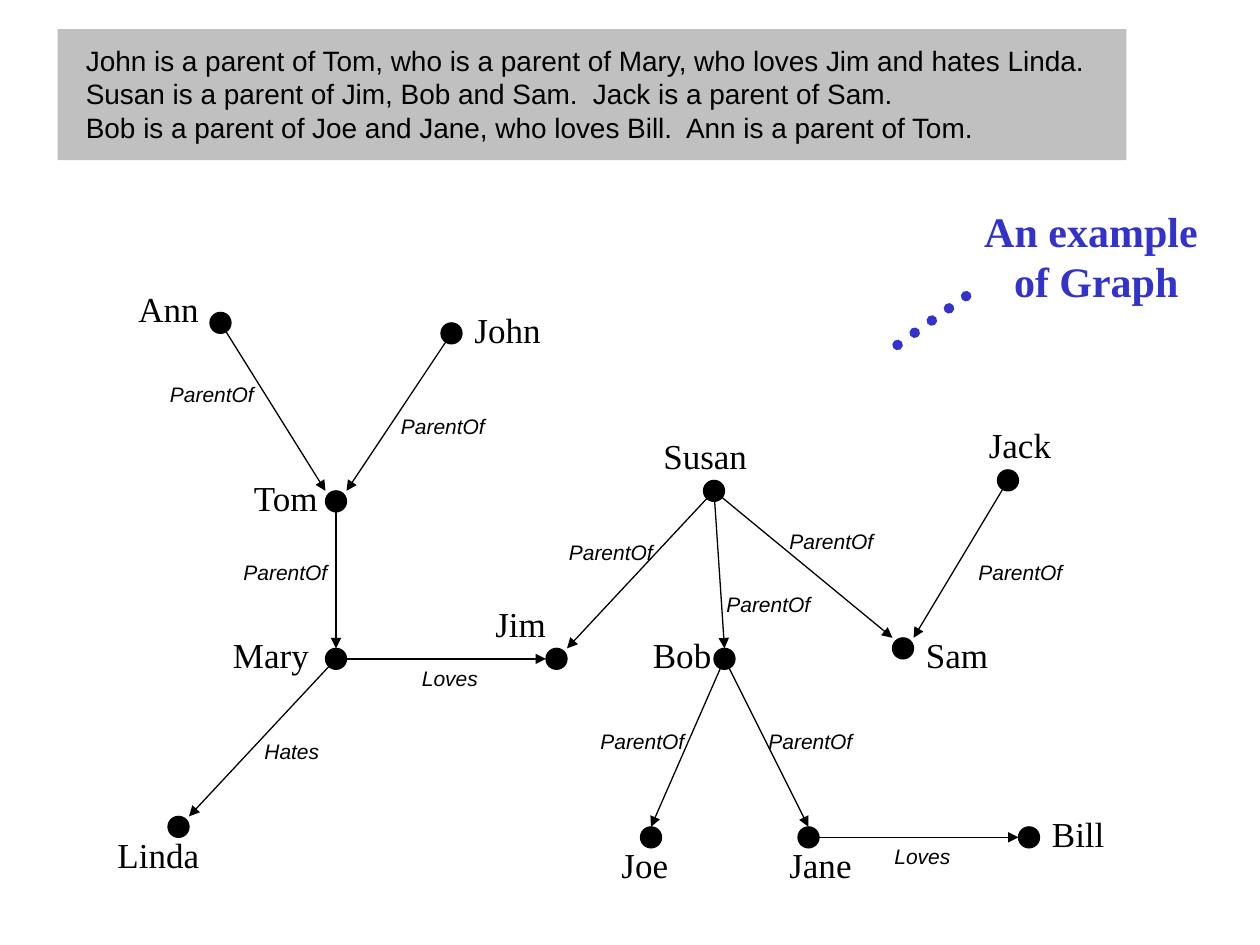
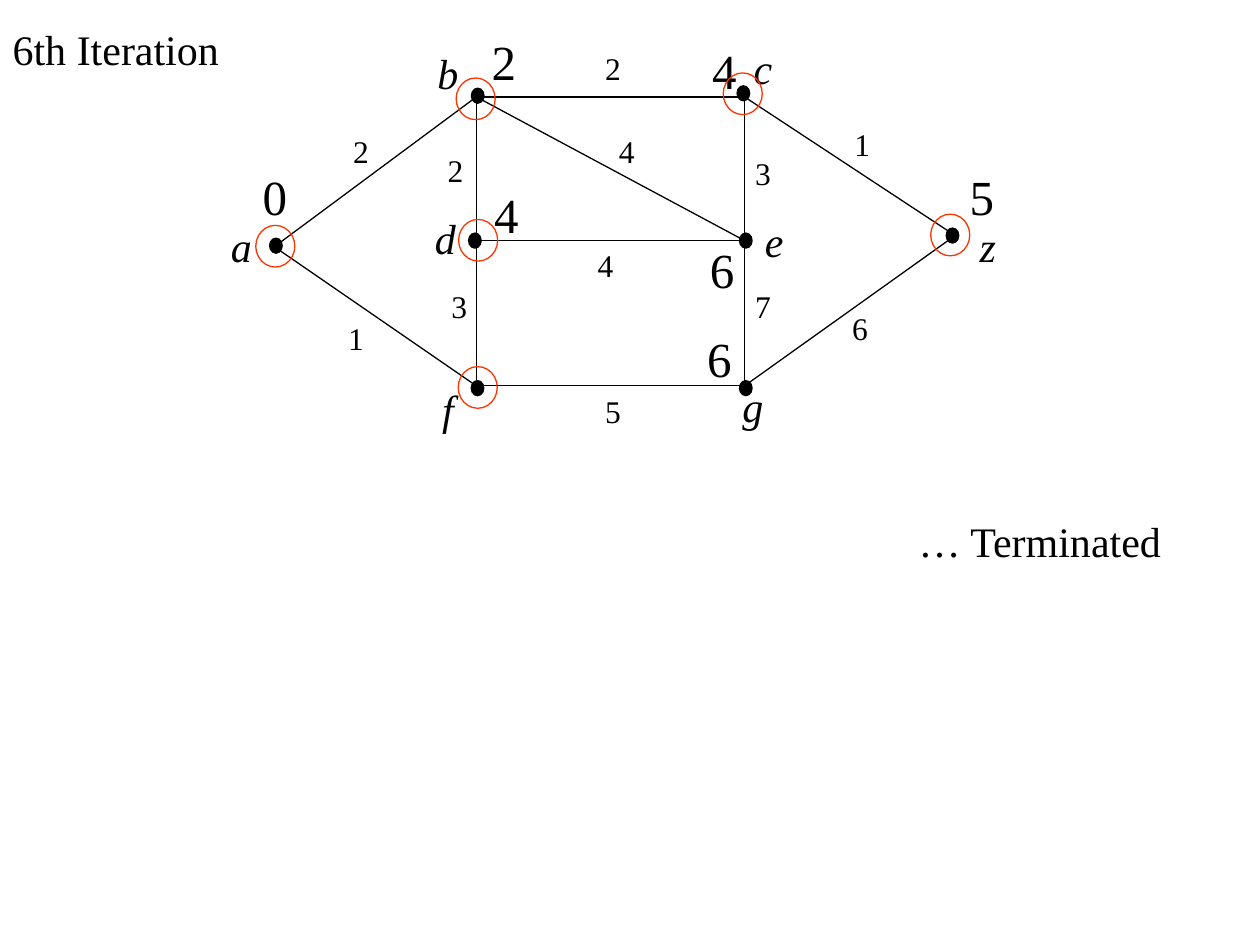
from dataclasses import dataclass
from typing import NamedTuple, Optional

from lxml import etree
from pptx import Presentation
from pptx.dml.color import RGBColor
from pptx.enum import dml, shapes, text
from pptx.oxml import ns
from pptx.util import Pt


@dataclass(frozen=True)
class Theme:
    ink: str = "000000"
    accent: str = "3333CC"
    ring: str = "FF3300"
    panel: str = "C0C0C0"
    serif: str = "Times New Roman"
    sans: str = "Arial"
    relation_size: int = 12
    story_size: int = 16
    weight_size: int = 18
    name_size: int = 20
    title_size: int = 24
    distance_size: int = 28
    line_width: float = 0.75
    dotted_width: float = 6


THEME = Theme()


class Person(NamedTuple):
    """Dot centre, then offset of the name box from it and the box width."""
    centre: tuple
    name_offset: tuple
    name_width: float


class Vertex(NamedTuple):
    """Dot, the joint where edges meet, letter, and optional marks, all centres."""
    dot: tuple
    joint: tuple
    letter: tuple
    ring: Optional[tuple] = None
    distance: str = ""
    distance_at: Optional[tuple] = None


PEOPLE = {
    "Ann": Person((66, 24), (-54, -24), 51),
    "John": Person((198, 30), (6, -18), 54),
    "Tom": Person((132, 126), (-54, -18), 54),
    "Mary": Person((132, 216), (-66, -18), 59),
    "Jim": Person((258, 216), (-42, -36), 45),
    "Susan": Person((348, 120), (-36, -36), 64),
    "Bob": Person((354, 216), (-48, -18), 50),
    "Sam": Person((456, 210), (6, -12), 52),
    "Jack": Person((516, 114), (-18, -36), 52),
    "Linda": Person((42, 312), (-42, 0), 63),
    "Joe": Person((312, 318), (-24, 0), 43),
    "Jane": Person((402, 318), (-18, 0), 52),
    "Bill": Person((528, 318), (6, -18), 46),
}

# Arrow start, arrow end, side of the end dot that is met, word, word position
RELATIONS = [
    ("Ann", "Tom", (-1, -1), "ParentOf", (30, 54)),
    ("John", "Tom", (1, -1), "ParentOf", (162, 72)),
    ("Tom", "Mary", (0, -1), "ParentOf", (72, 156)),
    ("Mary", "Jim", (-1, 0), "Loves", (174, 216)),
    ("Mary", "Linda", (1, -1), "Hates", (84, 258)),
    ("Susan", "Jim", (1, -1), "ParentOf", (258, 144)),
    ("Susan", "Bob", (0, -1), "ParentOf", (348, 174)),
    ("Susan", "Sam", (-1, -1), "ParentOf", (384, 138)),
    ("Jack", "Sam", (1, -1), "ParentOf", (492, 156)),
    ("Bob", "Joe", (0, -1), "ParentOf", (276, 252)),
    ("Bob", "Jane", (0, -1), "ParentOf", (372, 252)),
    ("Jane", "Bill", (-1, 0), "Loves", (444, 318)),
]
RELATION_WIDTHS = {"ParentOf": 65, "Loves": 49, "Hates": 49}

VERTICES = {
    "a": Vertex((37.7, 130.4), (36.8, 131), (17.9, 130.4), (37.3, 130.7), "0", (37, 102)),
    "b": Vertex((153, 44.7), (152.2, 45.4), (136, 31.8), (151.8, 46.5), "2", (168, 25)),
    "c": Vertex((304.8, 43.3), (305.5, 45.4), (316, 28.9), (304.4, 43.6), "4", (294, 30)),
    "d": Vertex((151.4, 127.5), (152.2, 127.5), (134.5, 126), (153.2, 127.3), "4", (169.4, 112)),
    "e": Vertex((306.2, 127.5), (305.5, 127.5), (322.4, 127.5), None, "6", (292.6, 143.7)),
    "f": Vertex((152.9, 211.8), (152.2, 210.5), (136, 223.3), (153, 211.4)),
    "g": Vertex((306.2, 211.8), (305.5, 210.5), (310.2, 221.8), None, "6", (291.1, 194.8)),
    "z": Vertex((424.3, 124.6), (425.8, 124.6), (444.5, 130.4), (423, 124.3), "5", (441, 102)),
}

# Edge, weight, centre of the weight
WEIGHTS = [
    ("ab", "2", (86.3, 76.4)), ("af", "1", (83.4, 183)),
    ("bc", "2", (230.3, 28.9)), ("bd", "2", (140.3, 87.2)),
    ("be", "4", (238.2, 76.4)), ("ce", "3", (316, 88.6)),
    ("de", "4", (226, 141.2)), ("df", "3", (142.4, 165)),
    ("eg", "7", (316, 165)), ("fg", "5", (230.3, 224.7)),
    ("cz", "1", (372.8, 72)), ("gz", "6", (371.4, 177.2)),
]


def shift(origin, point):
    return origin[0] + point[0], origin[1] + point[1]


def around(centre, width, height):
    return centre[0] - width / 2, centre[1] - height / 2, width, height


def add_text(page, words, box, size, font=THEME.serif, color=THEME.ink,
             bold=False, italic=False, align=text.PP_ALIGN.LEFT,
             anchor=text.MSO_ANCHOR.TOP):
    frame = page.shapes.add_textbox(*map(Pt, box)).text_frame
    frame.word_wrap = False
    frame.auto_size = text.MSO_AUTO_SIZE.SHAPE_TO_FIT_TEXT
    frame.vertical_anchor = anchor
    for index, line in enumerate(words.split("\n")):
        para = frame.add_paragraph() if index else frame.paragraphs[0]
        para.alignment = align
        span = para.add_run()
        span.text = line
        span.font.size, span.font.name = Pt(size), font
        span.font.bold, span.font.italic = bold, italic
        span.font.color.rgb = RGBColor.from_string(color)


def add_centred(page, words, centre, width, height, size, italic=False):
    add_text(page, words, around(centre, width, height), size, italic=italic,
             align=text.PP_ALIGN.CENTER, anchor=text.MSO_ANCHOR.MIDDLE)


def add_shape(page, kind, box, fill=None, line=None):
    shape = page.shapes.add_shape(kind, *map(Pt, box))
    shape.shadow.inherit = False
    if fill:
        shape.fill.solid()
        shape.fill.fore_color.rgb = RGBColor.from_string(fill)
    else:
        shape.fill.background()
    if line:
        shape.line.color.rgb = RGBColor.from_string(line)
        shape.line.width = Pt(THEME.line_width)
    else:
        shape.line.fill.background()


def add_oval(page, centre, width, height, fill=None, line=THEME.ink):
    add_shape(page, shapes.MSO_SHAPE.OVAL, around(centre, width, height), fill, line)


def add_line(page, start, end, color=THEME.ink, width=THEME.line_width,
             arrow=False, dotted=False):
    line = page.shapes.add_connector(shapes.MSO_CONNECTOR.STRAIGHT,
                                     *map(Pt, (*start, *end)))
    line.line.color.rgb = RGBColor.from_string(color)
    line.line.width = Pt(width)
    outline = line.line._get_or_add_ln()
    if dotted:
        line.line.dash_style = dml.MSO_LINE.ROUND_DOT
        outline.set("cap", "rnd")
    if arrow:
        etree.SubElement(outline, ns.qn("a:tailEnd"), type="triangle")
    etree.SubElement(line._element.spPr, ns.qn("a:effectLst"))


def add_story(page, box):
    add_shape(page, shapes.MSO_SHAPE.RECTANGLE, box, fill=THEME.panel)
    left, top, width, height = box
    add_text(page,
             "John is a parent of Tom, who is a parent of Mary, who loves Jim and hates Linda.\n"
             "Susan is a parent of Jim, Bob and Sam.  Jack is a parent of Sam.\n"
             "Bob is a parent of Joe and Jane, who loves Bill.  Ann is a parent of Tom.",
             (left + 9, top + 4.5, width - 18, height - 10),
             THEME.story_size, font=THEME.sans)


def add_caption(page, box):
    add_text(page, "An example \nof Graph", box, THEME.title_size,
             color=THEME.accent, bold=True, align=text.PP_ALIGN.CENTER)
    left, top = box[:2]
    add_line(page, (left - 3, top + 55.4), (left - 45.4, top + 85.6),
             THEME.accent, THEME.dotted_width, dotted=True)


def add_family_graph(page, origin, dot=12):
    for source, target, side, word, place in RELATIONS:
        meeting = shift(PEOPLE[target].centre, (side[0] * dot / 2, side[1] * dot / 2))
        add_line(page, shift(origin, PEOPLE[source].centre),
                 shift(origin, meeting), arrow=True)
        add_text(page, word, (*shift(origin, place), RELATION_WIDTHS[word], 21.6),
                 THEME.relation_size, font=THEME.sans, italic=True)
    for name, person in PEOPLE.items():
        centre = shift(origin, person.centre)
        add_oval(page, centre, dot, dot, fill=THEME.ink)
        add_text(page, name, (*shift(centre, person.name_offset), person.name_width, 31),
                 THEME.name_size)


def add_weighted_graph(page, origin):
    for (start, end), weight, place in WEIGHTS:
        add_line(page, shift(origin, VERTICES[start].joint),
                 shift(origin, VERTICES[end].joint))
        add_centred(page, weight, shift(origin, place), 23.8, 28.8, THEME.weight_size)
    for letter, vertex in VERTICES.items():
        add_oval(page, shift(origin, vertex.dot), 7.2, 8.6, fill=THEME.ink)
        add_centred(page, letter, shift(origin, vertex.letter), 26.6, 36,
                    THEME.title_size, italic=True)
        if vertex.distance:
            add_centred(page, vertex.distance, shift(origin, vertex.distance_at),
                        28.8, 41, THEME.distance_size)
        if vertex.ring:
            add_oval(page, shift(origin, vertex.ring), 22.3, 23.8, line=THEME.ring)


def build_family_slide(page):
    add_story(page, (33, 16.6, 610.6, 74.9))
    add_caption(page, (555.1, 113.8, 142.6, 64.8))
    add_family_graph(page, (60, 160.5))


def build_iteration_slide(page):
    add_centred(page, "6th Iteration", (66.2, 28), 132.5, 36, THEME.title_size)
    add_weighted_graph(page, (120, 10))
    add_centred(page, "… Terminated ", (597.2, 309), 160.6, 36, THEME.title_size)


def main():
    deck = Presentation()
    deck.slide_width, deck.slide_height = Pt(720), Pt(540)
    for build in (build_family_slide, build_iteration_slide):
        build(deck.slides.add_slide(deck.slide_layouts[6]))
    deck.save("out.pptx")


if __name__ == "__main__":
    main()
